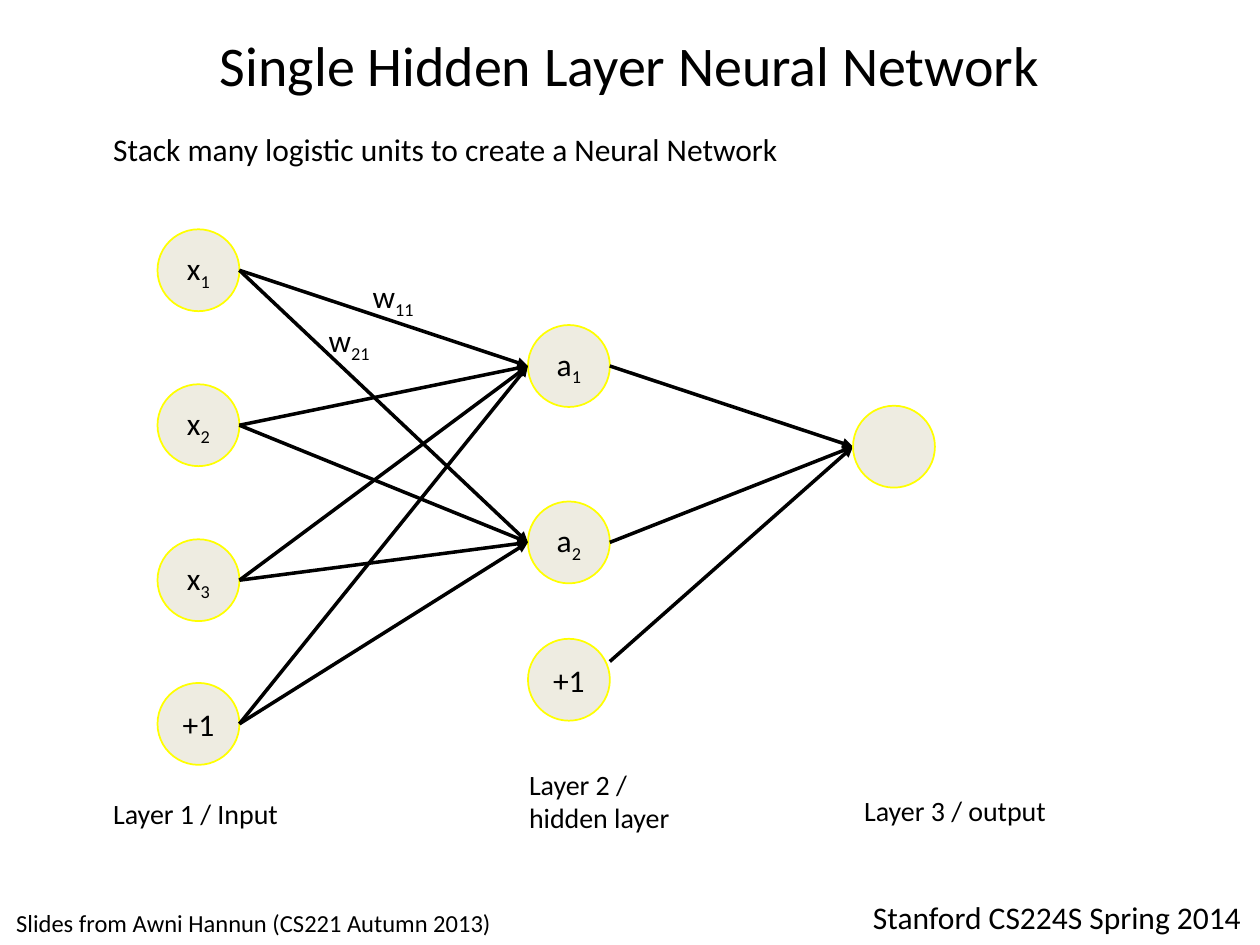
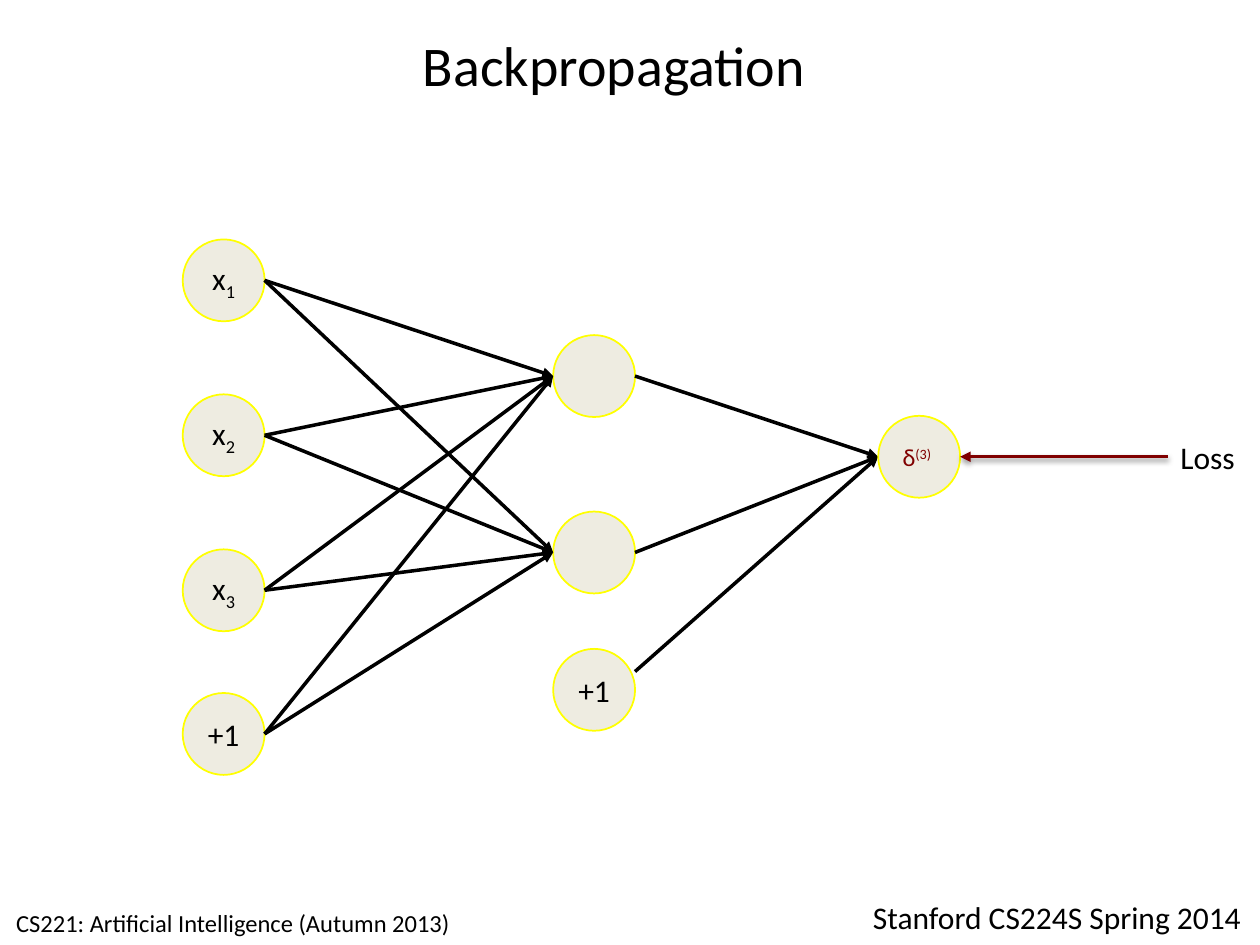
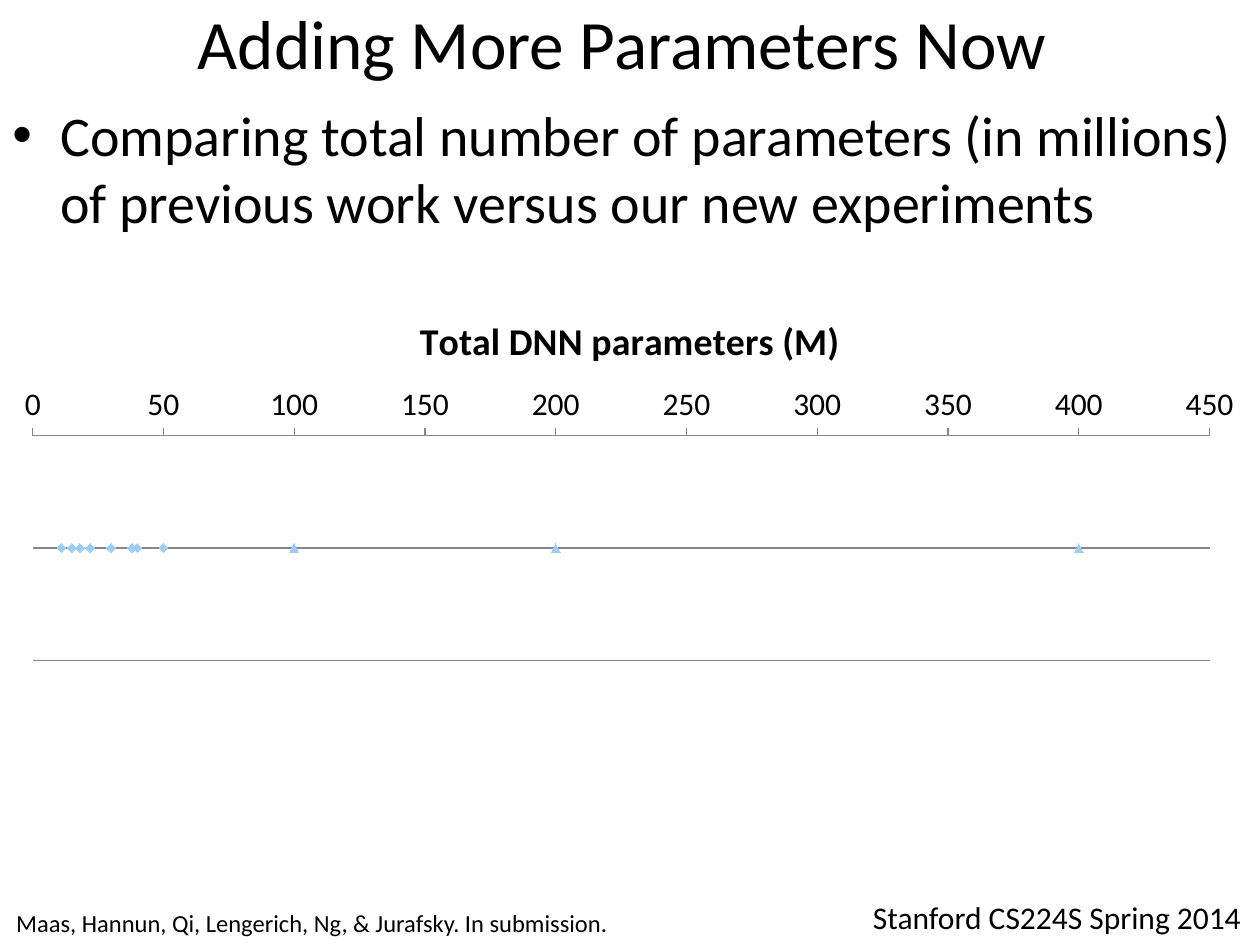
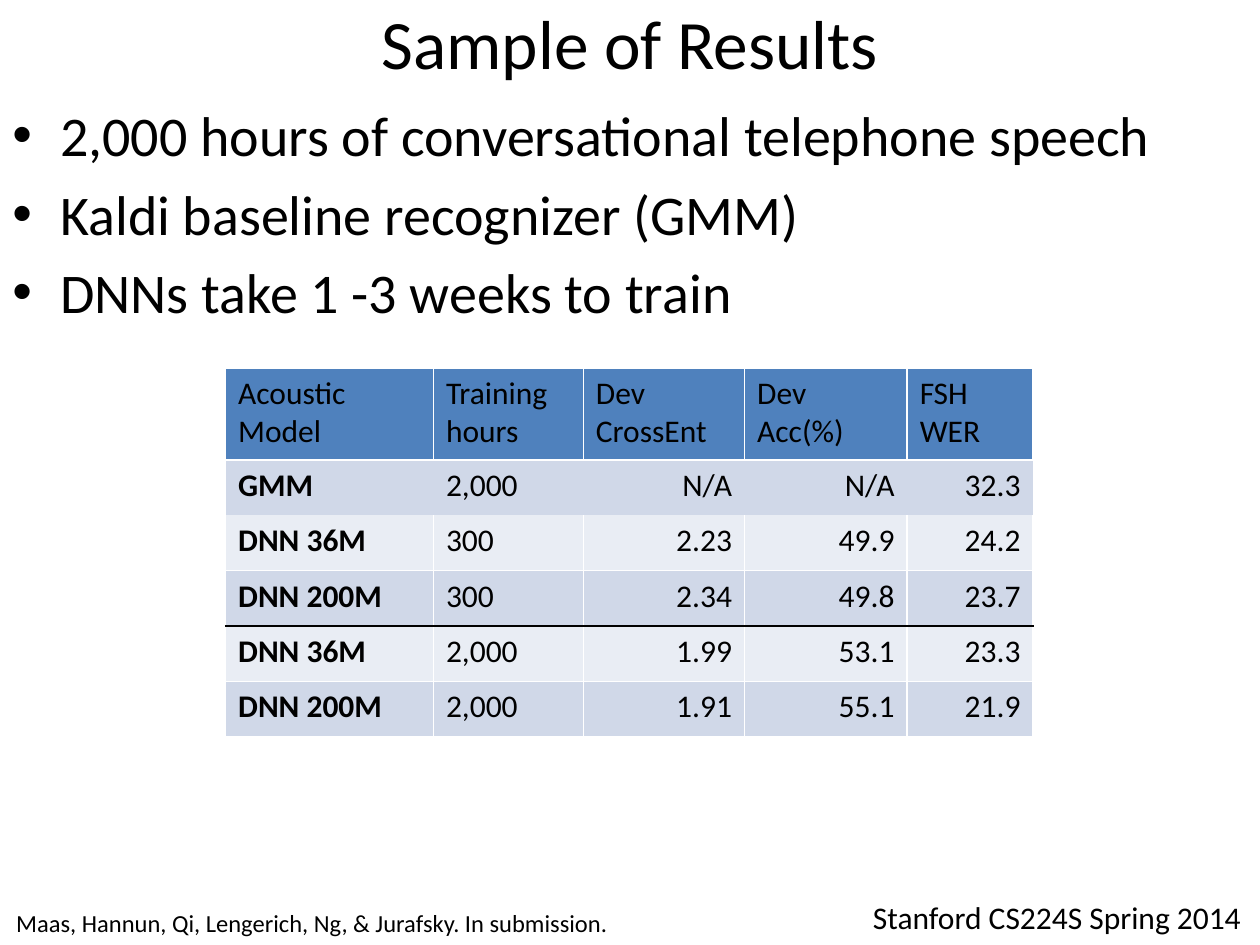
from itertools import product

from lxml import etree
from pptx import Presentation
from pptx.chart.data import XyChartData
from pptx.dml.color import RGBColor
from pptx.enum import chart as ch, shapes, text
from pptx.oxml import parse_xml
from pptx.oxml.ns import nsdecls, qn
from pptx.util import Inches, Pt

FONT = "Calibri"
BLACK = RGBColor(0x00, 0x00, 0x00)
WHITE = RGBColor(0xFF, 0xFF, 0xFF)
MAROON = RGBColor(0x80, 0x00, 0x00)
NODE_FILL = RGBColor(0xEE, 0xEC, 0xE1)
NODE_LINE = RGBColor(0xFF, 0xFF, 0x00)
HEADER_FILL = RGBColor(0x4F, 0x81, 0xBD)
BAND_FILLS = RGBColor(0xD0, 0xD8, 0xE8), RGBColor(0xE9, 0xED, 0xF4)
MARKER = RGBColor(0x99, 0xCC, 0xFF)
AXIS = RGBColor(0x86, 0x86, 0x86)

CENTER, RIGHT = text.PP_ALIGN.CENTER, text.PP_ALIGN.RIGHT

# In node and label texts "_" starts a subscript and "^" a superscript.
SCRIPTS = {"_": -25000, "^": 30000}

COURSE = "Stanford CS224S Spring 2014"
SUBMISSION = "Maas, Hannun, Qi, Lengerich, Ng, & Jurafsky. In submission."

# Network: left edge of each layer and tops of its nodes
NODE = 0.65
LAYERS = [
    (1.25, (1.82, 3.05, 4.28, 5.42)),
    (4.19, (2.58, 3.98, 5.07)),
    (6.77, (3.22,)),
]
INPUTS = ["x_1", "x_2", "x_3", "+1"]
BIAS_EXIT = 0.18  # height at which the hidden bias arrow leaves its node

NETWORK_LABELS = [
    ("Stack many logistic units to create a Neural Network", (0.8, 0.98, 6.18, 0.4), 18),
    ("w_11", (2.86, 2.15, 0.7, 0.4), 18),
    ("w_21", (2.51, 2.5, 0.7, 0.4), 18),
    ("Layer 1 / Input", (0.8, 6.27, 1.88, 0.37), 16),
    ("Layer 2 /\nhidden layer", (4.1, 6.04, 2.09, 0.64), 16),
    ("Layer 3 / output", (6.76, 6.25, 2.18, 0.37), 16),
]

PARAMETER_POINTS = ["Comparing total number of parameters (in millions) "
                    "of previous work versus our new experiments"]
PARAMETER_LEVEL = 100
PREVIOUS = (11, 15, 18, 22, 30, 38, 40, 50)
NEW = (100, 200, 400)
PARAMETERS = [
    ("Series 1", PREVIOUS, ch.XL_MARKER_STYLE.DIAMOND),
    ("Series 2", NEW, ch.XL_MARKER_STYLE.TRIANGLE),
]

RESULT_POINTS = [
    "2,000 hours of conversational telephone speech",
    "Kaldi baseline recognizer (GMM)",
    "DNNs take 1 -3 weeks to train",
]
RESULTS = [
    ("Acoustic Model", "Training hours", "Dev CrossEnt", "Dev Acc(%)", "FSH WER"),
    ("GMM", "2,000", "N/A", "N/A", "32.3"),
    ("DNN 36M", "300", "2.23", "49.9", "24.2"),
    ("DNN 200M", "300", "2.34", "49.8", "23.7"),
    ("DNN 36M", "2,000", "1.99", "53.1", "23.3"),
    ("DNN 200M", "2,000", "1.91", "55.1", "21.9"),
]
RESULT_WIDTHS = (1.65, 1.19, 1.28, 1.29, 1)
RESULT_HEIGHTS = (0.73,) + (0.44,) * 5
BASELINE_ROW = 1  # row without lines between its cells
ROW_RULES = (WHITE, WHITE, None, WHITE, BLACK, WHITE, WHITE)  # above each row, then below


def inches(values):
    return [Inches(value) for value in values]


def style(font, size, color=BLACK, bold=False):
    font.name, font.size, font.bold = FONT, Pt(size), bold
    font.color.rgb = color


def write(frame, content, size, color=BLACK, align=None, bold=False):
    for i, line in enumerate(content.split("\n")):
        paragraph = frame.add_paragraph() if i else frame.paragraphs[0]
        mark = next((m for m in SCRIPTS if m in line), None)
        base, _, script = line.partition(mark) if mark else (line, "", "")
        paragraph.text = base
        paragraph.alignment = align
        if script:
            run = paragraph.add_run()
            run.text = script
            run._r.get_or_add_rPr().set("baseline", str(SCRIPTS[mark]))
        for run in paragraph.runs:
            style(run.font, size, color, bold)


def add_text(slide, content, box, size, align=None, grow=True):
    frame = slide.shapes.add_textbox(*inches(box)).text_frame
    frame.word_wrap = True
    if grow:
        frame.auto_size = text.MSO_AUTO_SIZE.SHAPE_TO_FIT_TEXT
    write(frame, content, size, align=align)
    return frame


def new_slide(deck, title, title_box, title_size, credit, credit_width):
    slide = deck.slides.add_slide(deck.slide_layouts[6])
    add_text(slide, COURSE, (6.83, 7.08, 3.17, 0.71), 18)
    frame = add_text(slide, title, title_box, title_size, CENTER, grow=False)
    frame.vertical_anchor = text.MSO_ANCHOR.MIDDLE
    add_text(slide, credit, (0.03, 7.16, credit_width, 0.34), 14)
    return slide


def diagram_slide(deck, title, title_box, credit):
    return new_slide(deck, title, title_box, 32, credit, 4.74)


def bullet_slide(deck, title, points):
    slide = new_slide(deck, title, (0, 0, 10, 0.67), 39.6, SUBMISSION, 5.31)
    frame = add_text(slide, "\n".join(points), (0, 0.75, 10, 6.17), 32, grow=False)
    for paragraph in frame.paragraphs:
        paragraph.space_before = Pt(6.4)
        properties = paragraph._p.get_or_add_pPr()
        properties.set("marL", str(Inches(0.38)))
        properties.set("indent", str(-Inches(0.38)))
        etree.SubElement(properties, qn("a:buFont"), typeface="Arial")
        etree.SubElement(properties, qn("a:buChar"), char="•")
    return slide


def add_arrow(slide, start, end, color=BLACK, head="tailEnd"):
    """Return the effect list, so that a shadow can be added to it."""
    arrow = slide.shapes.add_connector(
        shapes.MSO_CONNECTOR.STRAIGHT, *inches(start + end))
    arrow.line.color.rgb = color
    arrow.line.width = Pt(2)
    etree.SubElement(arrow.line._get_or_add_ln(), qn(f"a:{head}"), type="triangle")
    return etree.SubElement(arrow._element.spPr, qn("a:effectLst"))


def add_node(slide, left, top, label, size=18, color=BLACK, align=CENTER):
    node = slide.shapes.add_shape(
        shapes.MSO_SHAPE.OVAL, *inches((left, top, NODE, NODE)))
    node.shadow.inherit = False
    node.fill.solid()
    node.fill.fore_color.rgb = NODE_FILL
    node.line.color.rgb = NODE_LINE
    node.line.width = Pt(1)
    if label:
        node.text_frame.vertical_anchor = text.MSO_ANCHOR.MIDDLE
        write(node.text_frame, label, size, color, align)


def add_network(slide, hidden, dx=0, dy=0):
    """Draw inputs, hidden units and the arrows; return the output node's corner."""
    inputs, units, outputs = [
        [(left + dx, top + dy) for top in tops] for left, tops in LAYERS]
    for (left, top), label in zip(inputs + units, INPUTS + hidden):
        add_node(slide, left, top, label)

    def entry(node):
        return node[0], node[1] + NODE / 2

    def leave(node, height=NODE / 2):
        return node[0] + NODE, node[1] + height

    *active, bias = units
    output = outputs[0]
    for unit, source in product(active, inputs):
        add_arrow(slide, leave(source), entry(unit))
    for unit in active:
        add_arrow(slide, leave(unit), entry(output))
    add_arrow(slide, leave(bias, BIAS_EXIT), entry(output))
    return output


def add_loss(slide, output):
    left, top = output
    middle = top + NODE / 2
    add_text(slide, "Loss", (9.27, 3.43, 0.73, 0.4), 18)
    effects = add_arrow(slide, (left + NODE, middle), (9.27, middle), MAROON, "headEnd")
    shadow = etree.SubElement(
        effects, qn("a:outerShdw"), blurRad=str(Pt(3.1)), dist=str(Pt(1.6)),
        dir="5400000", rotWithShape="0")
    shade = etree.SubElement(shadow, qn("a:srgbClr"), val=str(BLACK))
    etree.SubElement(shade, qn("a:alpha"), val="38000")


def add_parameter_chart(slide):
    data = XyChartData()
    for name, own_counts, _ in PARAMETERS:
        series = data.add_series(name)
        for count in PREVIOUS + NEW:
            series.add_data_point(count, PARAMETER_LEVEL if count in own_counts else None)
    chart = slide.shapes.add_chart(
        ch.XL_CHART_TYPE.XY_SCATTER, *inches((0, 2.33, 10, 2.97)), data).chart
    # Each series leaves the other's points blank.
    for point in list(chart._chartSpace.iter(qn("c:pt"))):
        if point.findtext(qn("c:v")) in ("None", ""):
            point.getparent().remove(point)
    style(chart.font, 18)
    chart.has_legend = False
    chart.has_title = True
    write(chart.chart_title.text_frame, "Total DNN parameters (M)", 21.6, bold=True)
    chart.plots[0].vary_by_categories = False
    for series, (_, _, symbol) in zip(chart.plots[0].series, PARAMETERS):
        series.format.line.fill.background()
        series.marker.style = symbol
        series.marker.size = 5
        series.marker.format.fill.solid()
        series.marker.format.fill.fore_color.rgb = MARKER
        series.marker.format.line.fill.background()

    counts, level = chart.category_axis, chart.value_axis
    counts.has_major_gridlines = False
    counts.minimum_scale, counts.maximum_scale, counts.major_unit = 0, 450, 50
    counts.major_tick_mark = ch.XL_TICK_MARK.OUTSIDE
    counts.format.line.color.rgb = AXIS
    level.minimum_scale, level.maximum_scale, level.major_unit = 80, 120, 20
    level.major_tick_mark = ch.XL_TICK_MARK.NONE
    level.tick_label_position = ch.XL_TICK_LABEL_POSITION.NONE
    level.crosses = ch.XL_AXIS_CROSSES.MAXIMUM
    level.format.line.fill.background()
    level.has_major_gridlines = True
    level.major_gridlines.format.line.color.rgb = AXIS

    area = chart._chartSpace.chart.plotArea
    for old in area.findall(qn("c:layout")):
        area.remove(old)
    places = "".join(f'<c:{key} val="{value}"/>' for key, value in (
        ("layoutTarget", "inner"), ("xMode", "edge"), ("yMode", "edge"),
        ("x", 0.026), ("y", 0.38), ("w", 0.934), ("h", 0.6)))
    area.insert(0, parse_xml(
        f'<c:layout {nsdecls("c")}><c:manualLayout>{places}</c:manualLayout></c:layout>'))


def set_borders(cell, colors):
    """Colours are for the left, right, top and bottom edge; None hides an edge."""
    properties = cell._tc.get_or_add_tcPr()
    for i, (edge, color) in enumerate(zip("LRTB", colors)):
        fill = (f'<a:solidFill><a:srgbClr val="{color}"/></a:solidFill>'
                if color is not None else "<a:noFill/>")
        properties.insert(i, parse_xml(
            f'<a:ln{edge} {nsdecls("a")} w="{Pt(1)}">{fill}</a:ln{edge}>'))


def add_results(slide):
    box = (1.79, 2.92, sum(RESULT_WIDTHS), sum(RESULT_HEIGHTS))
    table = slide.shapes.add_table(
        len(RESULTS), len(RESULT_WIDTHS), *inches(box)).table
    for column, width in zip(table.columns, RESULT_WIDTHS):
        column.width = Inches(width)
    for r, (height, values) in enumerate(zip(RESULT_HEIGHTS, RESULTS)):
        table.rows[r].height = Inches(height)
        side = None if r == BASELINE_ROW else WHITE
        for c, value in enumerate(values):
            cell = table.cell(r, c)
            cell.fill.solid()
            cell.fill.fore_color.rgb = BAND_FILLS[(r - 1) % 2] if r else HEADER_FILL
            write(cell.text_frame, value, 18, align=RIGHT if r and c > 1 else None,
                  bold=r > 0 and c == 0)
            set_borders(cell, (side, side, *ROW_RULES[r:r + 2]))


def main():
    deck = Presentation()
    deck.slide_width, deck.slide_height = Inches(10), Inches(7.5)

    slide = diagram_slide(deck, "Single Hidden Layer Neural Network",
                          (1.38, 0.15, 7.24, 0.72),
                          "Slides from Awni Hannun (CS221 Autumn 2013)")
    output = add_network(slide, ["a_1", "a_2", "+1"])
    add_node(slide, *output, "")
    for label, box, size in NETWORK_LABELS:
        add_text(slide, label, box, size)

    slide = diagram_slide(deck, "Backpropagation", (2.01, 0.15, 5.73, 0.72),
                          "CS221: Artificial Intelligence (Autumn 2013)")
    output = add_network(slide, ["", "", "+1"], 0.2, 0.08)
    add_node(slide, *output, "δ^(3)", 14, MAROON, text.PP_ALIGN.LEFT)
    add_loss(slide, output)

    slide = bullet_slide(deck, "Adding More Parameters Now ", PARAMETER_POINTS)
    add_parameter_chart(slide)

    slide = bullet_slide(deck, "Sample of Results", RESULT_POINTS)
    add_results(slide)

    deck.save("out.pptx")


if __name__ == "__main__":
    main()
